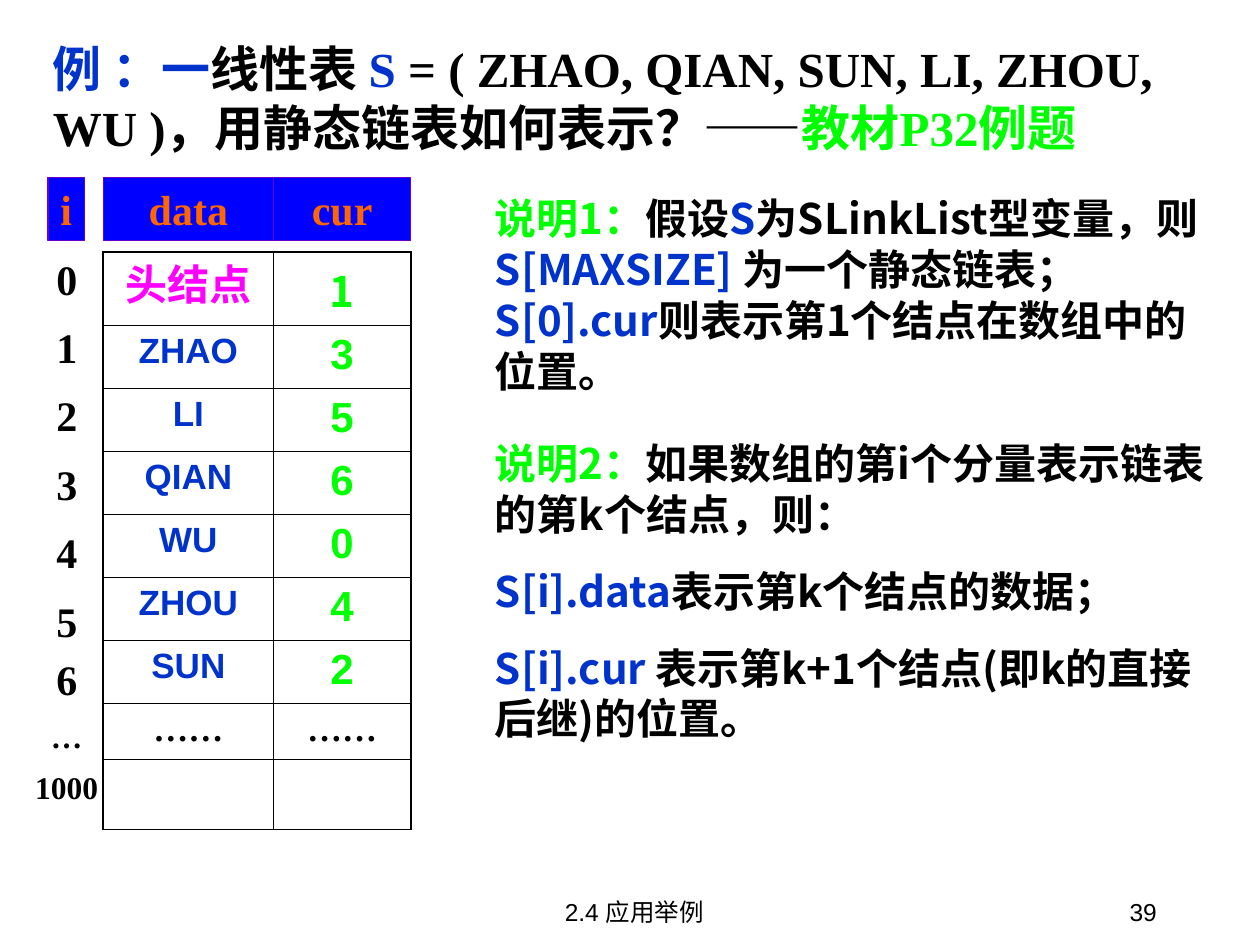
from pptx import Presentation
from pptx.dml.color import RGBColor
from pptx.enum.shapes import MSO_SHAPE
from pptx.enum.text import MSO_ANCHOR, MSO_AUTO_SIZE, PP_ALIGN
from pptx.oxml.ns import qn
from pptx.util import Pt
from lxml.etree import SubElement

PX = 9144  # 100 px to the inch
BLUE = RGBColor(0x00, 0x33, 0xCC)
GREEN = RGBColor(0x00, 0xFF, 0x00)
BLACK = RGBColor(0x00, 0x00, 0x00)
PINK = RGBColor(0xFF, 0x00, 0xFF)
ORANGE = RGBColor(0xFF, 0x66, 0x00)
FILL = RGBColor(0x00, 0x00, 0xFF)
EDGE = RGBColor(0x66, 0x00, 0xCC)
ROMAN, SANS, CJK = "Times New Roman", "Arial", "Noto Sans CJK SC"
LEFT, MID, RIGHT = PP_ALIGN.LEFT, PP_ALIGN.CENTER, PP_ALIGN.RIGHT


def write(para, runs, size, face, align=LEFT, bold=True, pitch=None):
    para.alignment = align
    if pitch:
        para.line_spacing = Pt(pitch)
    for text, color in runs:
        run = para.add_run()
        run.text = text
        font = run.font
        font.size, font.bold, font.name = Pt(size), bold, face
        font.color.rgb = color
        SubElement(font._element, qn("a:ea")).set("typeface", CJK)


def add_box(x, y, w, h, wrap=True):
    box = slide.shapes.add_textbox(x * PX, y * PX, w * PX, h * PX)
    box.text_frame.word_wrap = wrap
    return box.text_frame


deck = Presentation()
deck.slide_width, deck.slide_height = 1000 * PX, 750 * PX
slide = deck.slides.add_slide(deck.slide_layouts[5])

# Title
title = slide.shapes.title
title.left, title.top, title.width, title.height = 32 * PX, 25 * PX, 951 * PX, 104 * PX
frame = title.text_frame
frame.word_wrap = True
frame.auto_size = MSO_AUTO_SIZE.NONE
frame.vertical_anchor = MSO_ANCHOR.TOP
write(frame.paragraphs[0], [
    ("例 ：一", BLUE), ("线性表 ", BLACK), ("S", BLUE),
    (" = ( ZHAO, QIAN, SUN, LI, ZHOU, WU )，用静态链表如何表示？——", BLACK),
    ("教材P32例题", GREEN)], 28, ROMAN, pitch=34)

# Column heads
for text, x, w in [("i", 38, 29), ("data", 82, 135), ("cur", 217, 109)]:
    head = slide.shapes.add_shape(MSO_SHAPE.RECTANGLE, x * PX, 141 * PX, w * PX, 50 * PX)
    head.shadow.inherit = False
    head.fill.solid()
    head.fill.fore_color.rgb = FILL
    head.line.color.rgb = EDGE
    head.line.width = Pt(0.75)
    frame = head.text_frame
    frame.word_wrap = text != "i"
    frame.vertical_anchor = MSO_ANCHOR.TOP
    write(frame.paragraphs[0], [(text, ORANGE)], 24, ROMAN, MID)

# Static list table
rows = [("", "1"), ("ZHAO", "3"), ("LI", "5"), ("QIAN", "6"), ("WU", "0"),
        ("ZHOU", "4"), ("SUN", "2"), ("……", "……"), ("", "")]
highs = [57] + [50] * 6 + [44, 56]
table = slide.shapes.add_table(len(rows), 2, 82 * PX, 200 * PX,
                               244 * PX, sum(highs) * PX).table
table.first_row = table.horz_banding = False
for col, w in zip(table.columns, (135, 109)):
    col.width = w * PX
for r, pair in enumerate(rows):
    table.rows[r].height = highs[r] * PX
    for c, text in enumerate(pair):
        cell = table.cell(r, c)
        if text == "……":
            size, face, color = 20, ROMAN, BLACK
        elif c == 0:
            size, face, color = 20, SANS, BLUE
        else:
            size, face, color = 24, SANS if r else CJK, GREEN
        if text:
            write(cell.text_frame.paragraphs[0], [(text, color)], size, face, MID)
        # Thick outer edges, thin inner ones
        props = cell._tc.get_or_add_tcPr()
        outer = {"L": c == 0, "R": c == 1, "T": r == 0, "B": r == len(rows) - 1}
        for side, thick in outer.items():
            edge = SubElement(props, qn("a:ln" + side), w=str(Pt(1.08 if thick else 0.45)))
            paint = SubElement(edge, qn("a:solidFill"))
            SubElement(paint, qn("a:srgbClr"), val=str(BLACK))
        cell.fill.background()

# Head node label
frame = add_box(82, 200, 135, 50)
write(frame.paragraphs[0], [("头结点", PINK)], 24, CJK, MID, pitch=29)

# Row numbers
frame = add_box(18, 196, 70, 436, wrap=False)
marks = [(str(n), 24, 10.3) for n in range(6)]
marks += [("6", 24, 4.3), ("…", 18, 7.6), ("1000", 18, 7.6)]
for n, (text, size, gap) in enumerate(marks):
    para = frame.add_paragraph() if n else frame.paragraphs[0]
    if n:
        para.space_before = Pt(gap)
    write(para, [(text, BLACK)], size, ROMAN, MID)

# Notes on the right
notes = [
    (148, 170, 0, [
        [("说明1：", GREEN), ("假设", BLACK), ("S", BLUE),
         ("为SLinkList型变量，则", BLACK), ("S[MAXSIZE] ", BLUE),
         ("为一个静态链表；", BLACK)],
        [("S[0].cur", BLUE), ("则表示第1个结点在数组中的位置。", BLACK)]]),
    (342, 252, 15, [
        [("说明2：", GREEN), ("如果数组的第i个分量表示链表的第k个结点，则：", BLACK)],
        [("S[i].data", BLUE), ("表示第k个结点的数据；", BLACK)],
        [("S[i].cur ", BLUE), ("表示第k+1个结点(即k的直接后继)的位置。", BLACK)]]),
]
for y, h, gap, paras in notes:
    frame = add_box(383, y, 601, h)
    for n, runs in enumerate(paras):
        para = frame.add_paragraph() if n else frame.paragraphs[0]
        if n:
            para.space_before = Pt(gap)
        write(para, runs, 24, CJK, pitch=29)

# Footer
for text, x, w, align in [("39", 720, 208, RIGHT), ("2.4 应用举例", 345, 317, MID)]:
    frame = add_box(x, 690, w, 50)
    frame.vertical_anchor = MSO_ANCHOR.BOTTOM
    write(frame.paragraphs[0], [(text, BLACK)], 14, SANS, align, bold=False)

deck.save("out.pptx")
